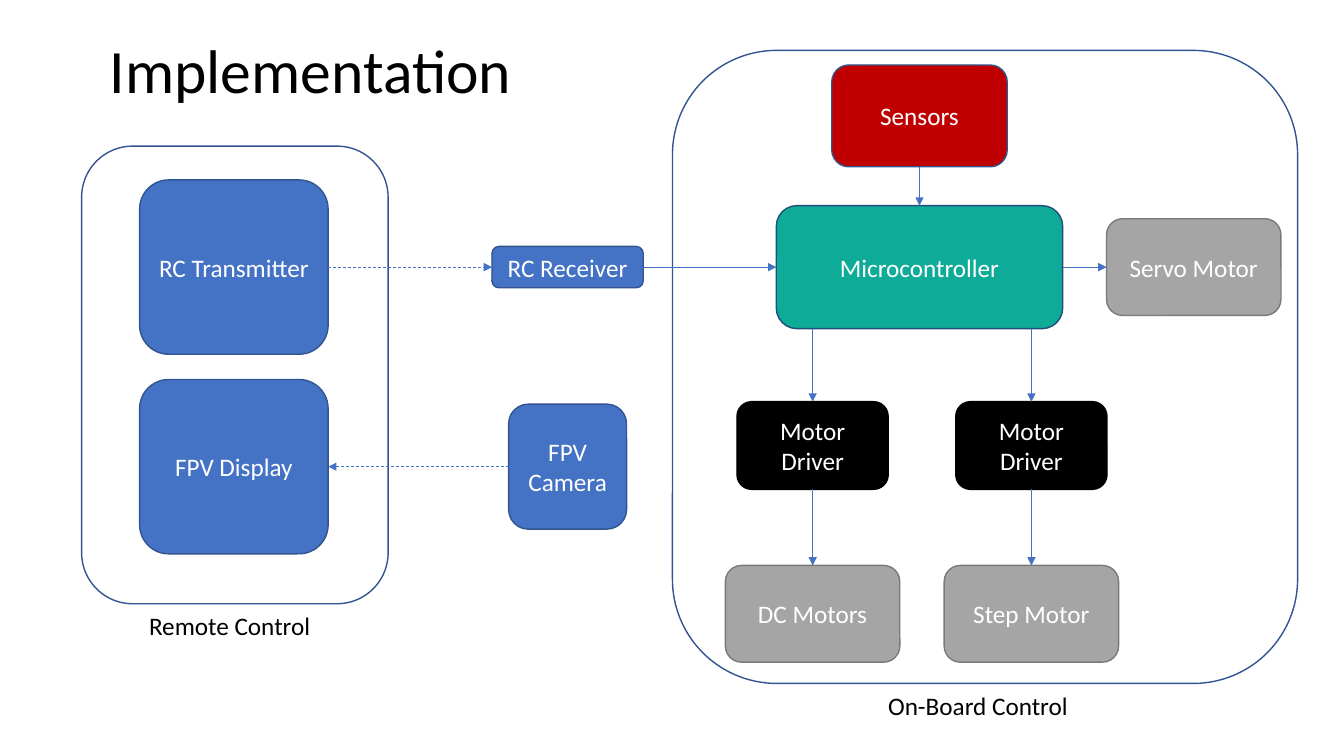
from lxml import etree
from pptx import Presentation, util as u
from pptx.dml.color import RGBColor
from pptx.enum import dml, shapes, text
from pptx.oxml import ns

BLUE, BLUE_EDGE = "4472C4", "325491"
TEAL, TEAL_EDGE = "0DAB98", "1F4E79"
GREY, GREY_EDGE = "A5A5A5", "7A7A7A"
RED, BLACK, WHITE = "C00000", "000000", "FFFFFF"
TOP, LEFT, BOTTOM, RIGHT = range(4)


def colour(value):
    return RGBColor.from_string(value)


def inches(*lengths):
    return [u.Inches(length) for length in lengths]


def write(frame, words, size=18, ink=BLACK, align=None, anchor=None, spacing=None):
    frame.word_wrap = True
    frame.vertical_anchor = anchor
    paragraph = frame.paragraphs[0]
    paragraph.alignment = align
    paragraph.line_spacing = spacing
    run = paragraph.add_run()
    run.text = words
    run.font.name = "Calibri"
    run.font.size = u.Pt(size)
    run.font.color.rgb = colour(ink)


def rounded(slide, left, top, width, height, fill=None, edge=BLUE_EDGE):
    outline = slide.shapes.add_shape(
        shapes.MSO_SHAPE.ROUNDED_RECTANGLE, *inches(left, top, width, height))
    outline.shadow.inherit = False
    if fill:
        outline.fill.solid()
        outline.fill.fore_color.rgb = colour(fill)
    else:
        outline.fill.background()
    outline.line.color.rgb = colour(edge)
    outline.line.width = u.Pt(1)
    return outline


def node(slide, box, label, centre, size, fill=BLUE, edge=BLUE_EDGE):
    (x, y), (width, height) = centre, size
    block = rounded(slide, box[0] + x - width / 2, box[1] + y - height / 2,
                    width, height, fill, edge)
    write(block.text_frame, label, ink=WHITE, align=text.PP_ALIGN.CENTER,
          anchor=text.MSO_ANCHOR.MIDDLE)
    return block


def caption(slide, box, words, x, width):
    left, top, _, height = box
    label = slide.shapes.add_textbox(*inches(left + x, top + height + 0.02, width, 0.4))
    write(label.text_frame, words)


def arrow(slide, source, source_side, target, target_side, dashed=False, from_x=None):
    link = slide.shapes.add_connector(shapes.MSO_CONNECTOR.STRAIGHT, 0, 0, 0, 0)
    if from_x is None:
        link.begin_connect(source, source_side)
    else:
        link.begin_x, link.begin_y = from_x, source.top + source.height
    link.end_connect(target, target_side)
    link.line.color.rgb = colour(BLUE)
    link.line.width = u.Pt(0.5)
    if dashed:
        link.line.dash_style = dml.MSO_LINE.DASH
    etree.SubElement(link.line._get_or_add_ln(), ns.qn("a:tailEnd"), type="triangle")
    etree.SubElement(link._element.spPr, ns.qn("a:effectLst"))


def heading(slide, box):
    title = slide.shapes.title
    title.left, title.top, title.width, title.height = inches(*box)
    write(title.text_frame, "Implementation", size=44, align=text.PP_ALIGN.LEFT,
          anchor=text.MSO_ANCHOR.MIDDLE, spacing=0.9)


def remote_control(slide, box):
    rounded(slide, *box)
    transmitter, display = [
        node(slide, box, label, (1.51, y), (1.87, 1.73))
        for label, y in (("RC Transmitter", 1.2), ("FPV Display", 3.18))]
    caption(slide, box, "Remote Control", 0.57, 1.96)
    return transmitter, display


def radio_units(slide, box):
    receiver = node(slide, box, "RC Receiver", (0.75, 0.2), (1.5, 0.41))
    camera = node(slide, box, "FPV Camera", (0.75, 2.18), (1.17, 1.24))
    return receiver, camera


def on_board_control(slide, box):
    motor_size = (1.73, 0.96)
    rounded(slide, *box)
    controller = node(slide, box, "Microcontroller", (2.45, 2.15), (2.84, 1.22),
                      TEAL, TEAL_EDGE)
    sensors = node(slide, box, "Sensors", (2.45, 0.65), (1.74, 1.01), RED)
    servo = node(slide, box, "Servo Motor", (5.17, 2.15), motor_size, GREY, GREY_EDGE)
    arrow(slide, sensors, BOTTOM, controller, TOP)
    arrow(slide, controller, RIGHT, servo, LEFT)
    for label, x in (("DC Motors", 1.39), ("Step Motor", 3.56)):
        driver = node(slide, box, "Motor Driver", (x, 3.92), (1.5, 0.87), BLACK, BLACK)
        motor = node(slide, box, label, (x, 5.59), motor_size, GREY, GREY_EDGE)
        arrow(slide, controller, BOTTOM, driver, TOP, from_x=u.Inches(box[0] + x))
        arrow(slide, driver, BOTTOM, motor, TOP)
    caption(slide, box, "On-Board Control", 2.04, 2.12)
    return controller


def implementation(deck):
    slide = deck.slides.add_slide(deck.slide_layouts[5])
    heading(slide, (0.99, 0, 11.5, 1.45))
    transmitter, display = remote_control(slide, (0.81, 1.45, 3.04, 4.54))
    receiver, camera = radio_units(slide, (4.88, 2.45, 1.5, 2.8))
    controller = on_board_control(slide, (6.67, 0.5, 6.2, 6.28))
    arrow(slide, transmitter, RIGHT, receiver, LEFT, dashed=True)
    arrow(slide, camera, LEFT, display, RIGHT, dashed=True)
    arrow(slide, receiver, RIGHT, controller, LEFT)


deck = Presentation()
deck.slide_width, deck.slide_height = inches(13.33, 7.5)
implementation(deck)
deck.save("out.pptx")
